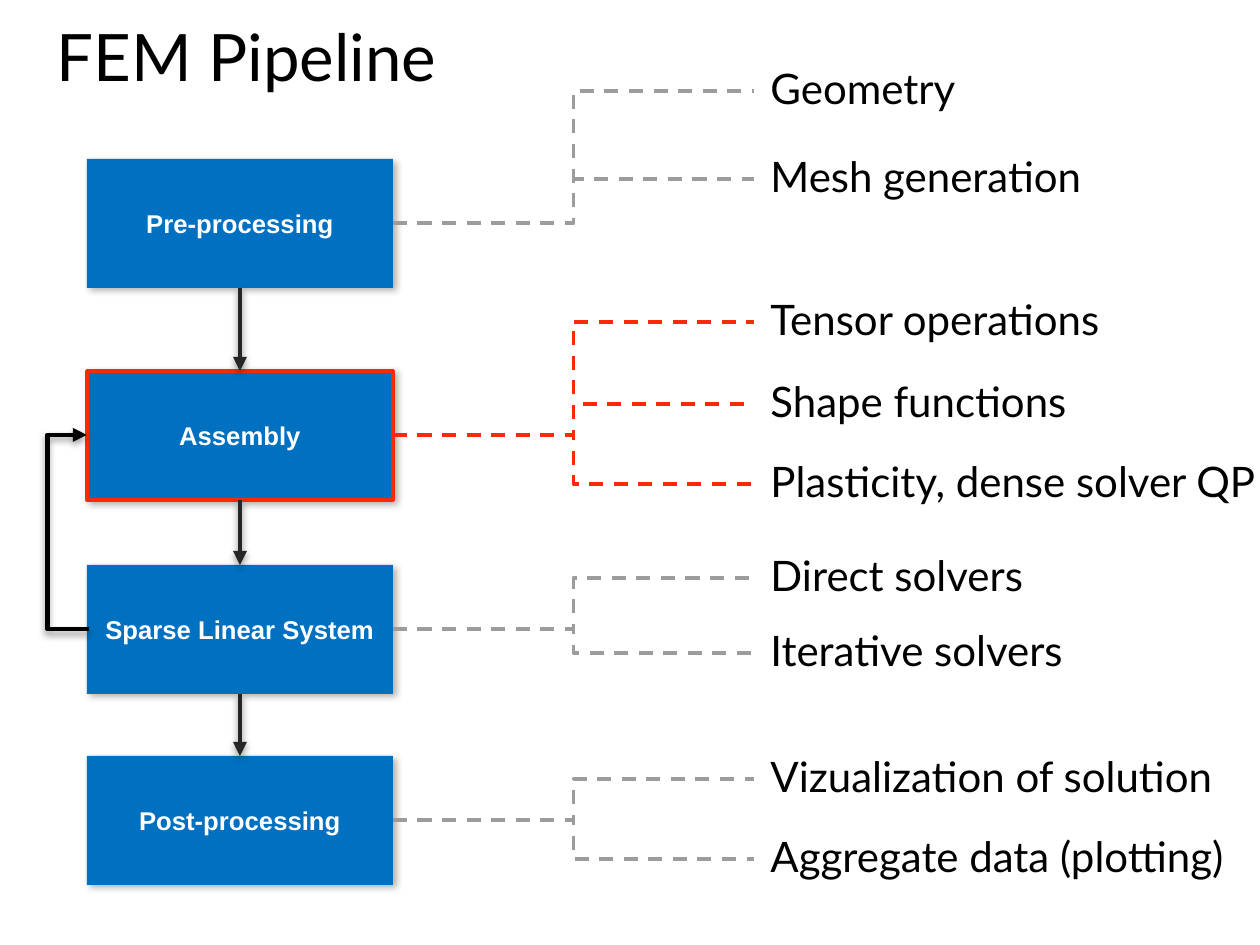
import pptx
import pptx.util
import pptx.dml.color
import pptx.enum.dml
import pptx.enum.shapes
import pptx.enum.text
import pptx.oxml
import pptx.oxml.ns

BLACK, DARK, GRAY, RED, BLUE, WHITE = "000000", "262626", "9C9C9C", "F92B07", "0070C0", "FFFFFF"
LEFT, WIDTH, HEIGHT = 87, 306, 129
LABEL_LEFT, LABEL_HEIGHT = 754, 74
NS = pptx.oxml.ns.nsdecls("a")
rgb = pptx.dml.color.RGBColor.from_string


def px(*values):
    return [round(v * 914400 / 168) for v in values]


def add_shadow(effects, color, alpha, distance, angle):
    effects.append(pptx.oxml.parse_xml(
        f'<a:outerShdw {NS} blurRad="39400" dist="{distance}" dir="{angle * 60000}" rotWithShape="0">'
        f'<a:srgbClr val="{color}"><a:alpha val="{alpha * 1000}"/></a:srgbClr></a:outerShdw>'))


prs = pptx.Presentation()
prs.slide_width, prs.slide_height = px(1260, 945)
s = prs.slides.add_slide(prs.slide_layouts[5])

title = s.shapes.title
title.left, title.top, title.width, title.height = px(40, 8, 595, 81)
tf = title.text_frame
tf.word_wrap = False
tf.auto_size = pptx.enum.text.MSO_AUTO_SIZE.NONE
tf.vertical_anchor = pptx.enum.text.MSO_ANCHOR.TOP
p = tf.paragraphs[0]
p.alignment = pptx.enum.text.PP_ALIGN.LEFT
r = p.add_run()
r.text = "FEM Pipeline"
r.font.name = "Lato"
r.font.size = pptx.util.Pt(28)
r.font.color.rgb = rgb(BLACK)

stages = [
    ("Pre-processing", 159, GRAY, [("Geometry", 91), ("Mesh generation", 179)]),
    ("Assembly", 371, RED, [("Tensor operations", 322), ("Shape functions", 404),
                            ("Plasticity, dense solver QP", 484)]),
    ("Sparse Linear System", 565, GRAY, [("Direct solvers", 578), ("Iterative solvers", 653)]),
    ("Post-processing", 756, GRAY, [("Vizualization of solution", 779),
                                    ("Aggregate data (plotting)", 859)]),
]

boxes, branches = [], []
for name, top, color, topics in stages:
    sp = s.shapes.add_shape(pptx.enum.shapes.MSO_SHAPE.RECTANGLE, *px(LEFT, top, WIDTH, HEIGHT))
    sp.fill.solid()
    sp.fill.fore_color.rgb = rgb(BLUE)
    if color == RED:
        sp.line.color.rgb = rgb(RED)
        sp.line.width = pptx.util.Pt(1.5)
    else:
        sp.line.fill.background()
    sp.shadow.inherit = False
    add_shadow(sp._element.spPr.find(pptx.oxml.ns.qn("a:effectLst")), DARK, 35, 22900, 41)
    tf = sp.text_frame
    tf.word_wrap = True
    tf.vertical_anchor = pptx.enum.text.MSO_ANCHOR.MIDDLE
    tf.margin_left = tf.margin_right = 0
    p = tf.paragraphs[0]
    p.alignment = pptx.enum.text.PP_ALIGN.CENTER
    r = p.add_run()
    r.text = name
    r.font.name = "Arial"
    r.font.size = pptx.util.Pt(11)
    r.font.bold = True
    r.font.color.rgb = rgb(WHITE)
    boxes.append(sp)

    for topic, y in topics:
        branches.append((LEFT + WIDTH, top + HEIGHT // 2, LABEL_LEFT, y, color))
        label = s.shapes.add_textbox(*px(LABEL_LEFT, y - LABEL_HEIGHT // 2, 506, LABEL_HEIGHT))
        tf = label.text_frame
        tf.word_wrap = False
        tf.margin_right = 0
        r = tf.paragraphs[0].add_run()
        r.text = topic
        r.font.name = "Lato"
        r.font.size = pptx.util.Pt(18)
        r.font.color.rgb = rgb(BLACK)

for x1, y1, x2, y2, color in branches:
    branch = s.shapes.add_connector(pptx.enum.shapes.MSO_CONNECTOR.ELBOW, *px(x1, y1, x2, y2))
    branch.line.color.rgb = rgb(color)
    branch.line.width = pptx.util.Pt(1.5)
    branch.line.dash_style = pptx.enum.dml.MSO_LINE.DASH
    branch._element.spPr.append(pptx.oxml.parse_xml(f"<a:effectLst {NS}/>"))

arrows = []
for upper, lower in zip(boxes, boxes[1:]):
    arrow = s.shapes.add_connector(pptx.enum.shapes.MSO_CONNECTOR.STRAIGHT, 0, 0, 0, 0)
    arrow.begin_connect(upper, 2)
    arrow.end_connect(lower, 0)
    arrows.append((arrow, DARK))

loop = s.shapes.add_connector(pptx.enum.shapes.MSO_CONNECTOR.ELBOW, *px(LEFT + 2, 629, LEFT, 435))
guides = loop._element.spPr.prstGeom.get_or_add_avLst()
guides.append(pptx.oxml.parse_xml(f'<a:gd {NS} name="adj1" fmla="val 2100000"/>'))
arrows.append((loop, BLACK))

for arrow, color in arrows:
    arrow.line.color.rgb = rgb(color)
    arrow.line.width = pptx.util.Pt(2)
    arrow.line._get_or_add_ln().append(pptx.oxml.parse_xml(f'<a:tailEnd {NS} type="triangle"/>'))
    effects = pptx.oxml.parse_xml(f"<a:effectLst {NS}/>")
    add_shadow(effects, BLACK, 38, 20000, 90)
    arrow._element.spPr.append(effects)

prs.save("out.pptx")
